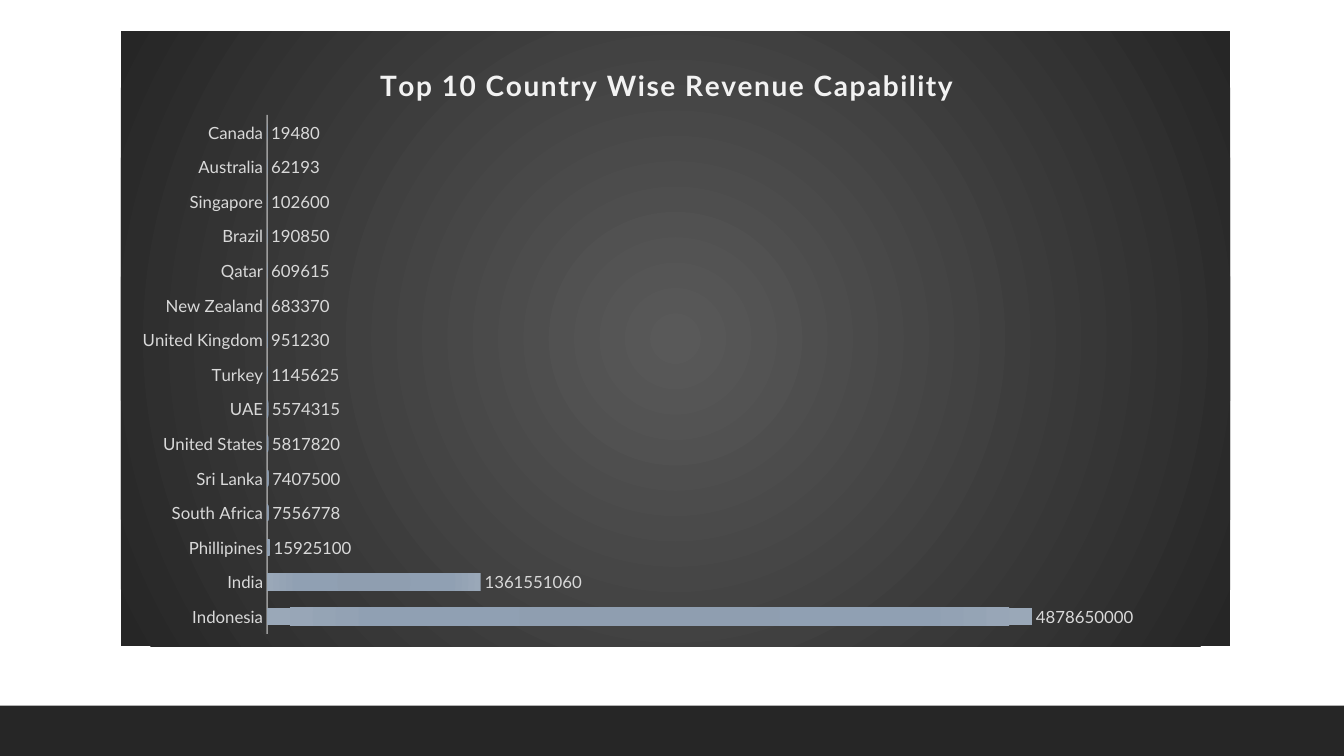
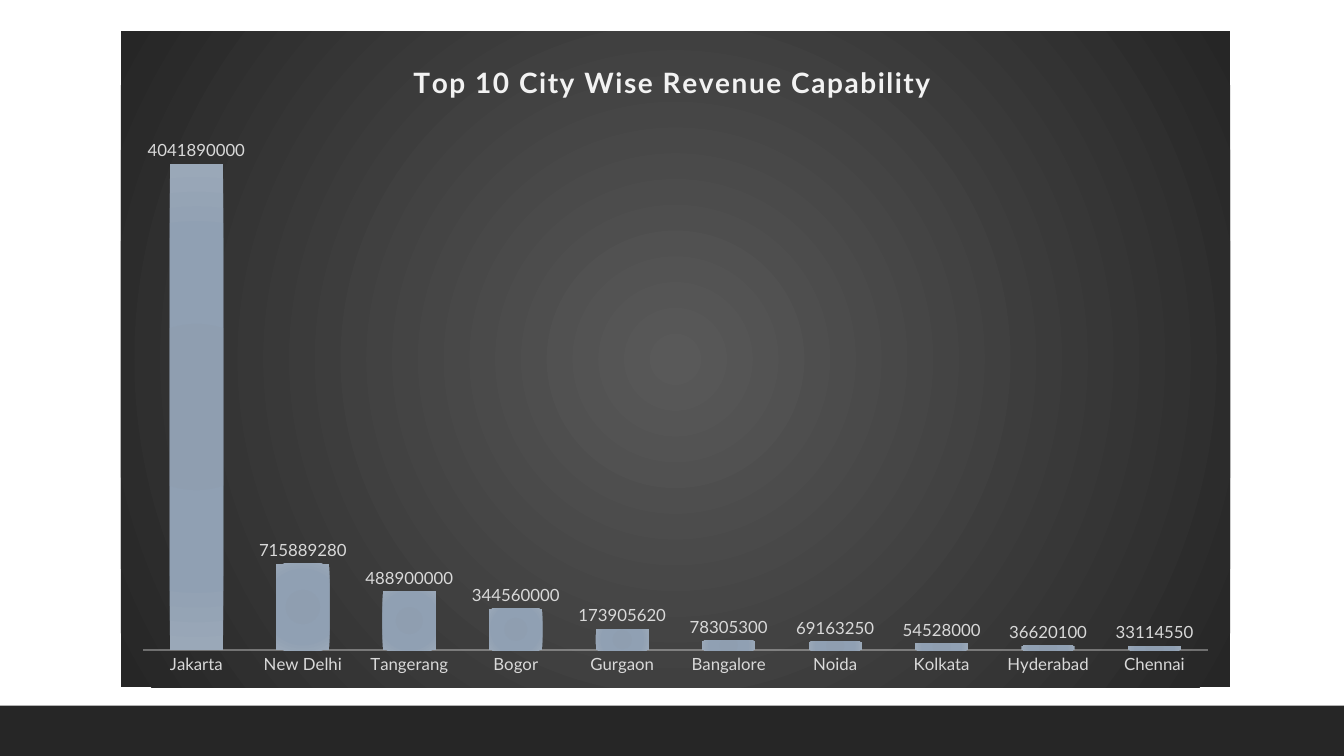
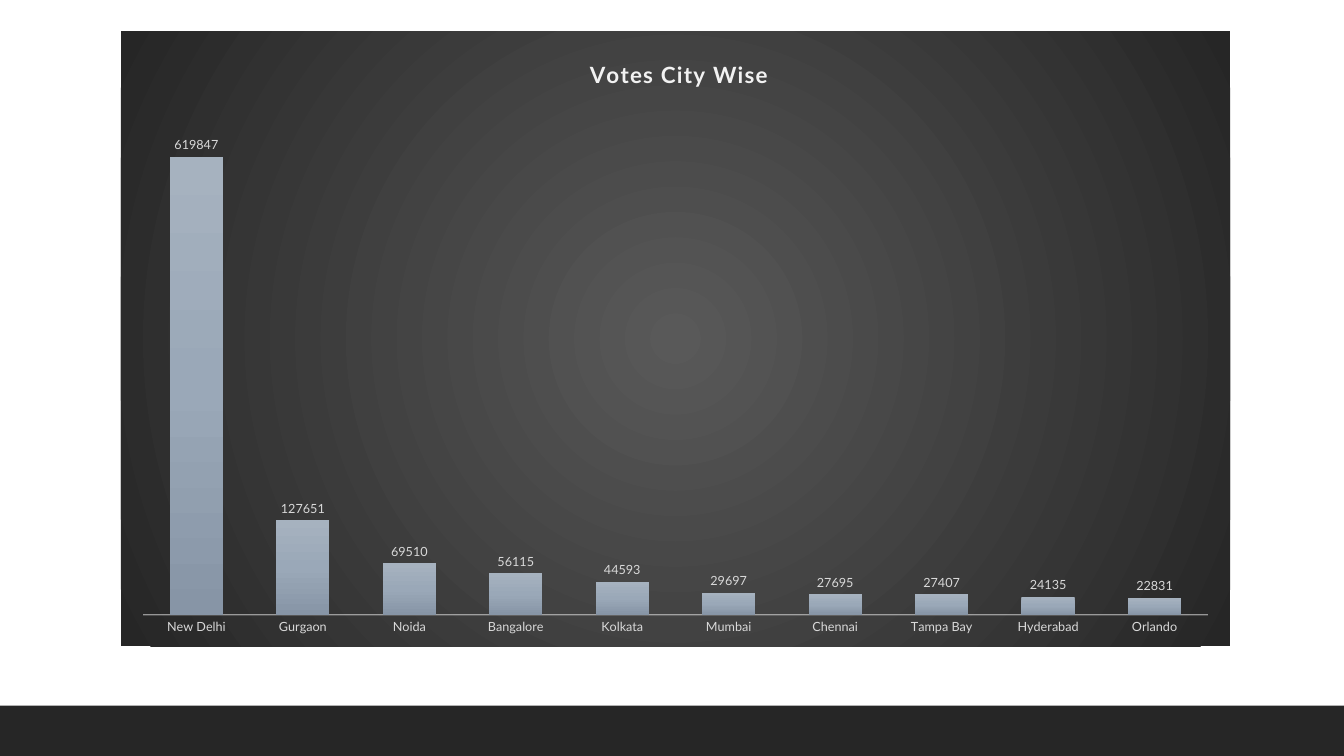
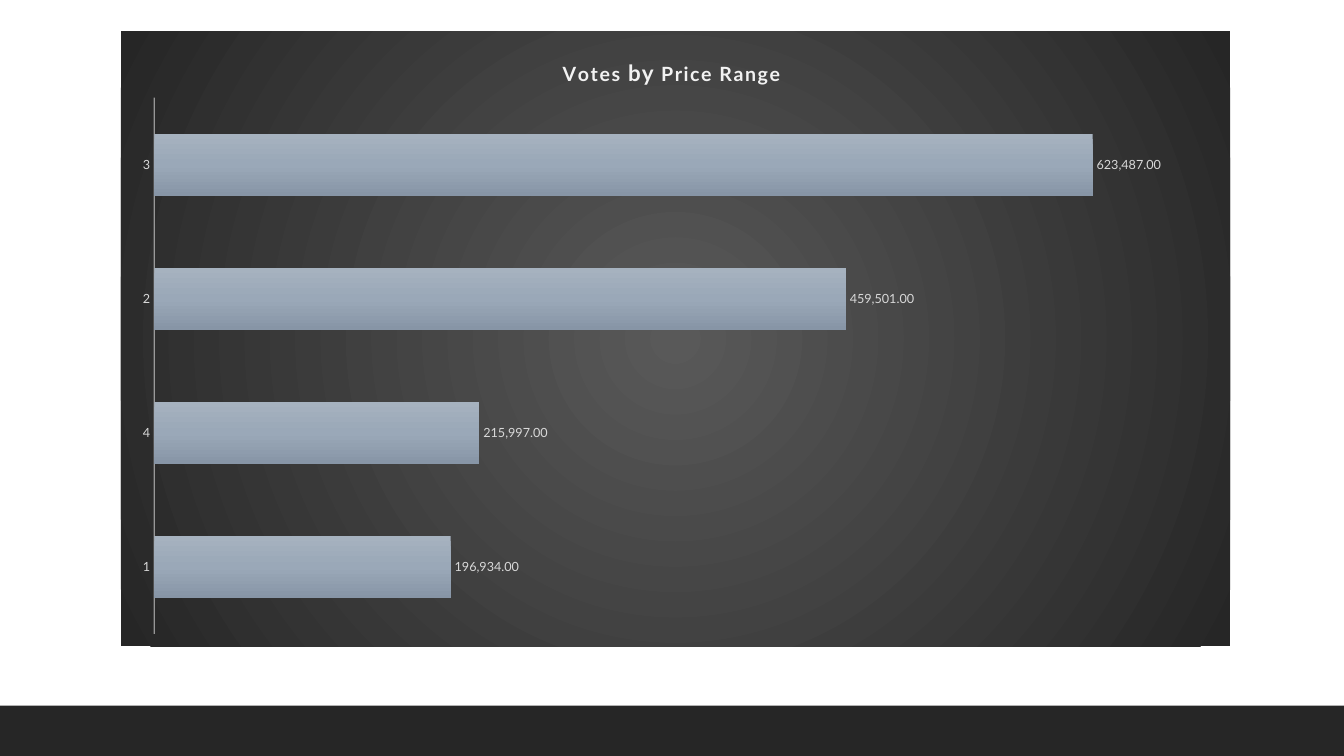
from lxml import etree
from pptx import Presentation
from pptx.chart.data import CategoryChartData
from pptx.dml.color import RGBColor
from pptx.enum.chart import XL_CHART_TYPE as ChartType
from pptx.enum.chart import XL_LABEL_POSITION as LabelPosition
from pptx.enum.chart import XL_TICK_MARK as TickMark
from pptx.enum.shapes import MSO_SHAPE as Shape
from pptx.oxml import parse_xml
from pptx.oxml.ns import nsdecls, qn
from pptx.util import Inches, Pt

# Shared style
FONT = "Lato"
COLORS = {
    "band": "262626",
    "title": "F2F2F2",
    "label": "D9D9D9",
    "axis": "F2F2F2",
    "text": "000000",
}
PANEL_STOPS = [(0, "595959"), (100, "262626")]
REVENUE_STOPS = [(0, "8D9CAE"), (34, "8F9EB0"), (70, "90A0B3"), (100, "9AA8B8")]
VOTES_STOPS = [(0, "A6B2BF"), (50, "9AA8B8"), (100, "8795A6")]
CENTRE, CORNER = 50, 100  # focus of a circular gradient, in percent

SLIDE_WIDTH, SLIDE_HEIGHT, BAND_HEIGHT = 13.33, 7.5, 0.5
CHART_LEFT, CHART_TOP, CHART_WIDTH = 1.2, 0.31, 11
PLOT_RIGHT = 11.98

# Content: title runs are (text, size); places are in inches on the slide
CHARTS = [
    {
        "title": [("Top 10 Country Wise Revenue Capability", 20)],
        "title_at": (3.72, 0.59),
        "type": ChartType.BAR_CLUSTERED,
        "height": 6.1,
        "plot": (2.65, 1.14, 6.29),  # left, top, bottom
        "values": {
            "Indonesia": 4878650000, "India": 1361551060,
            "Phillipines": 15925100, "South Africa": 7556778,
            "Sri Lanka": 7407500, "United States": 5817820,
            "UAE": 5574315, "Turkey": 1145625, "United Kingdom": 951230,
            "New Zealand": 683370, "Qatar": 609615, "Brazil": 190850,
            "Singapore": 102600, "Australia": 62193, "Canada": 19480,
        },
        "maximum": 6000000000,
        "gap": 100, "overlap": 0, "size": 12, "format": "0",
        "stops": REVENUE_STOPS, "focus": CORNER,
    },
    {
        "title": [("Top 10 City Wise Revenue Capability", 20)],
        "title_at": (4.05, 0.56),
        "type": ChartType.COLUMN_CLUSTERED,
        "height": 6.51,
        "plot": (1.42, 1.08, 6.45),
        "values": {
            "Jakarta": 4041890000, "New Delhi": 715889280,
            "Tangerang": 488900000, "Bogor": 344560000,
            "Gurgaon": 173905620, "Bangalore": 78305300,
            "Noida": 69163250, "Kolkata": 54528000,
            "Hyderabad": 36620100, "Chennai": 33114550,
        },
        "maximum": 4500000000,
        "gap": 100, "overlap": -24, "size": 12, "format": "0",
        "stops": REVENUE_STOPS, "focus": CORNER,
    },
    {
        "title": [("Votes City Wise", 16)],
        "title_at": (5.81, 0.54),
        "type": ChartType.COLUMN_CLUSTERED,
        "height": 6.1,
        "plot": (1.42, 0.97, 6.1),
        "values": {
            "New Delhi": 619847, "Gurgaon": 127651, "Noida": 69510,
            "Bangalore": 56115, "Kolkata": 44593, "Mumbai": 29697,
            "Chennai": 27695, "Tampa Bay": 27407, "Hyderabad": 24135,
            "Orlando": 22831,
        },
        "maximum": 700000,
        "gap": 100, "overlap": -24, "size": 9, "format": "0",
        "stops": VOTES_STOPS, "focus": None,
    },
    {
        "title": [("Votes ", 14), ("by", 16), (" Price Range", 14)],
        "title_at": (5.55, 0.54),
        "type": ChartType.BAR_CLUSTERED,
        "height": 6.1,
        "plot": (1.53, 0.97, 6.29),
        "values": {"1": 196934, "4": 215997, "2": 459501, "3": 623487},
        "maximum": 700000,
        "gap": 115, "overlap": -20, "size": 9, "format": "#,##0.00",
        "stops": VOTES_STOPS, "focus": None,
    },
]


def color(name):
    return RGBColor.from_string(COLORS[name])


def set_font(font, size, color_name, bold=False):
    font.name = FONT
    font.size = Pt(size)
    font.bold = bold
    font.color.rgb = color(color_name)


def gradient(stops, focus=None):
    """Circular gradient around the focus, or a downward one without it."""
    stop_xml = "".join(
        f'<a:gs pos="{position * 1000}"><a:srgbClr val="{value}"/></a:gs>'
        for position, value in stops
    )
    if focus is None:
        direction = '<a:lin ang="5400000" scaled="0"/>'
    else:
        sides = " ".join(f'{side}="{focus * 1000}"' for side in "ltrb")
        direction = f'<a:path path="circle"><a:fillToRect {sides}/></a:path>'
    return parse_xml(
        f'<a:gradFill {nsdecls("a")} rotWithShape="1">'
        f"<a:gsLst>{stop_xml}</a:gsLst>{direction}</a:gradFill>"
    )


def manual_layout(height, left, top, right=None, bottom=None):
    """Place a chart part, given in slide inches, as fractions of the chart."""
    values = {
        "x": (left - CHART_LEFT) / CHART_WIDTH,
        "y": (top - CHART_TOP) / height,
    }
    target = ""
    if right is not None:
        values["w"] = (right - left) / CHART_WIDTH
        values["h"] = (bottom - top) / height
        target = '<c:layoutTarget val="inner"/>'
    modes = '<c:xMode val="edge"/><c:yMode val="edge"/>'
    places = "".join(f'<c:{key} val="{value:.4f}"/>' for key, value in values.items())
    return parse_xml(
        f'<c:layout {nsdecls("c")}><c:manualLayout>{target}{modes}{places}'
        "</c:manualLayout></c:layout>"
    )


def drop_layout(element):
    for layout in element.findall(qn("c:layout")):
        element.remove(layout)


def add_band(slide):
    band = slide.shapes.add_shape(
        Shape.RECTANGLE, 0, Inches(SLIDE_HEIGHT - BAND_HEIGHT),
        Inches(SLIDE_WIDTH), Inches(BAND_HEIGHT),
    )
    band.shadow.inherit = False
    band.fill.solid()
    band.fill.fore_color.rgb = color("band")
    band.line.fill.background()


def style_panel(chart):
    panel = parse_xml(
        f'<c:spPr {nsdecls("c", "a")}><a:ln><a:noFill/></a:ln></c:spPr>'
    )
    panel.insert(0, gradient(PANEL_STOPS, CENTRE))
    chart.element.find(qn("c:chart")).addnext(panel)


def add_title(chart, content):
    chart.has_title = True
    title = chart.chart_title
    paragraph = title.text_frame.paragraphs[0]
    for text, size in content["title"]:
        run = paragraph.add_run()
        run.text = text
        set_font(run.font, size, "title", bold=True)
        run.font._element.set("spc", "100")
    element = title._element
    drop_layout(element)
    element.find(qn("c:tx")).addnext(
        manual_layout(content["height"], *content["title_at"])
    )


def style_axes(chart, content):
    category_axis = chart.category_axis
    category_axis.has_major_gridlines = False
    category_axis.major_tick_mark = TickMark.NONE
    category_axis.minor_tick_mark = TickMark.NONE
    set_font(category_axis.tick_labels.font, content["size"], "label")
    line = category_axis.format.line
    line.width = Pt(1)
    line.color.rgb = color("axis")
    line_color = category_axis._element.find(".//" + qn("a:ln")).find(
        ".//" + qn("a:srgbClr")
    )
    etree.SubElement(line_color, qn("a:alpha")).set("val", "54000")

    value_axis = chart.value_axis
    value_axis.visible = False
    value_axis.has_major_gridlines = False
    value_axis.minimum_scale = 0
    value_axis.maximum_scale = content["maximum"]


def style_bars(chart, content):
    plot = chart.plots[0]
    plot.gap_width = content["gap"]
    plot.overlap = content["overlap"]
    plot.vary_by_categories = False
    bars = plot.series[0]._element.get_or_add_spPr()
    bars.append(gradient(content["stops"], content["focus"]))

    plot.has_data_labels = True
    labels = plot.data_labels
    labels.show_value = True
    labels.position = LabelPosition.OUTSIDE_END
    labels.number_format = content["format"]
    labels.number_format_is_linked = False
    set_font(labels.font, content["size"], "label")


def add_chart(slide, content):
    data = CategoryChartData(number_format=content["format"])
    data.categories = list(content["values"])
    data.add_series("Series 1", list(content["values"].values()))
    chart = slide.shapes.add_chart(
        content["type"], Inches(CHART_LEFT), Inches(CHART_TOP),
        Inches(CHART_WIDTH), Inches(content["height"]), data,
    ).chart
    chart.has_legend = False
    set_font(chart.font, 10, "text")
    style_panel(chart)
    add_title(chart, content)
    style_axes(chart, content)
    style_bars(chart, content)

    left, top, bottom = content["plot"]
    plot_area = chart.element.find(".//" + qn("c:plotArea"))
    drop_layout(plot_area)
    plot_area.insert(
        0, manual_layout(content["height"], left, top, PLOT_RIGHT, bottom)
    )


def main():
    presentation = Presentation()
    presentation.slide_width = Inches(SLIDE_WIDTH)
    presentation.slide_height = Inches(SLIDE_HEIGHT)
    for content in CHARTS:
        slide = presentation.slides.add_slide(presentation.slide_layouts[6])
        add_band(slide)
        add_chart(slide, content)
    presentation.save("out.pptx")


if __name__ == "__main__":
    main()
